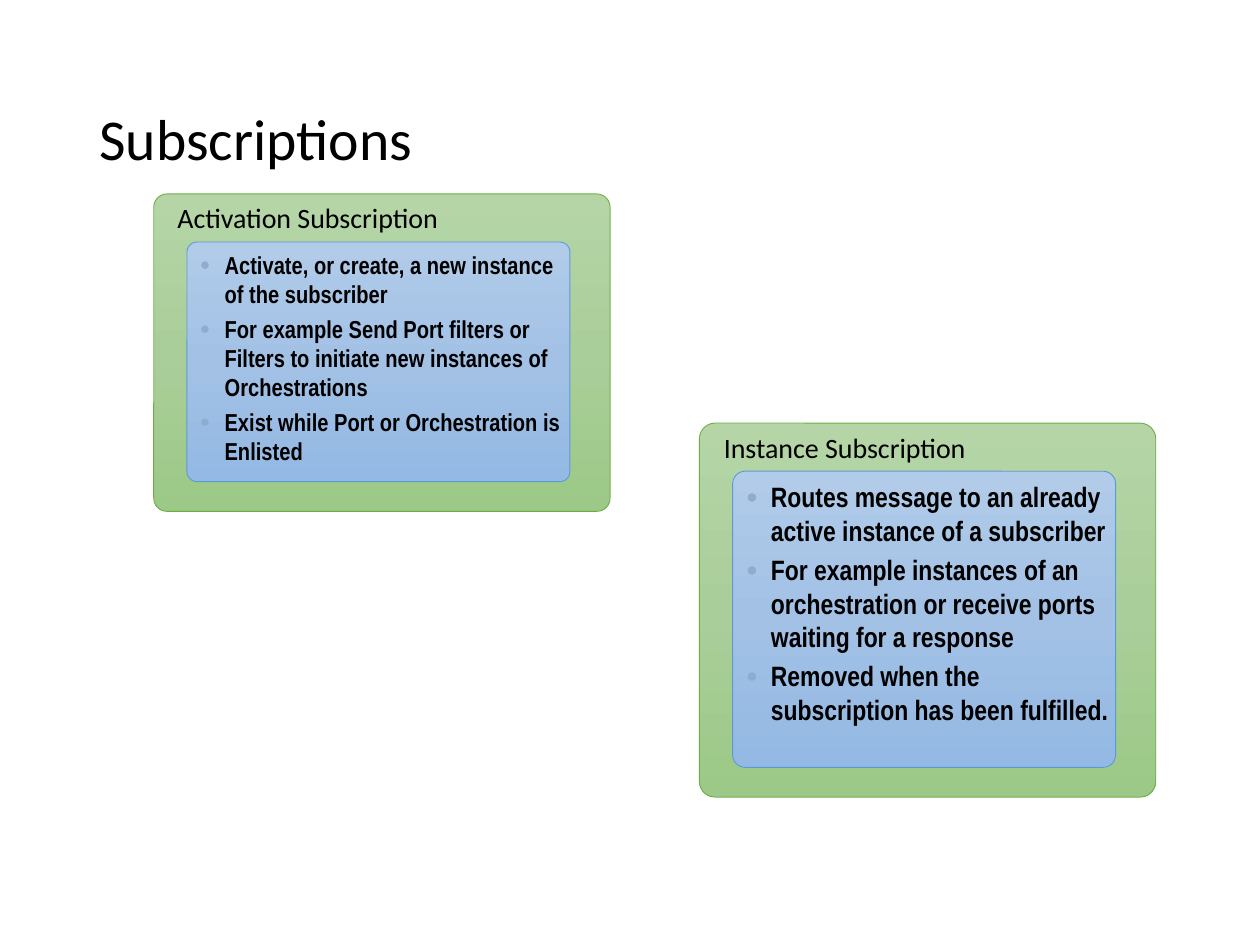
import copy
import pptx
import pptx.util
import pptx.dml.color
import pptx.enum.shapes
import pptx.enum.text
import pptx.oxml.ns
import lxml.etree

Cm, Pt = pptx.util.Cm, pptx.util.Pt

TITLE = "Subscriptions"
CARDS = [
    {"head": "Activation Subscription", "left": 3.1, "top": 3.91,
     "high": 6.4, "size": 14,
     "items": ["Activate, or create, a new instance of the subscriber",
               "For example Send Port filters or Filters to initiate "
               "new instances of Orchestrations",
               "Exist while Port or Orchestration is Enlisted"]},
    {"head": "Instance Subscription", "left": 14.1, "top": 8.53,
     "high": 7.54, "size": 16,
     "items": ["Routes message to an already active instance of a subscriber",
               "For example instances of an orchestration or receive ports "
               "waiting for a response",
               "Removed when the subscription has been fulfilled."]},
]
COLORS = {"text": "000000", "green": "70AD47", "blue": "5B9BD5",
          "bullet": "8DACD0"}
FADES = {"green": ("B5D5A7", "AACE9A", "9CC987"),
         "blue": ("B1CBE9", "A3C1E5", "93B9E4")}
CARD_WIDE, LIST_WIDE = 9.2, 7.72
PAD_LEFT, PAD_TOP, PAD_HIGH = 0.67, 0.97, 1.57
ROUND = 0.042


def color(code):
    return pptx.dml.color.RGBColor.from_string(code)


def add_tag(parent, tag, **attrs):
    node = lxml.etree.SubElement(parent, pptx.oxml.ns.qn("a:" + tag))
    for name, value in attrs.items():
        node.set(name, str(value))
    return node


def write(frame, text, size, font="Calibri", bold=False, line=None,
          before=0, indent=0, bullet=False):
    """Fill the empty first paragraph, or add one; before is in percent."""
    para = frame.paragraphs[0]
    if para.runs:
        para = frame.add_paragraph()
    para.alignment = pptx.enum.text.PP_ALIGN.LEFT
    if line:
        para.line_spacing = line
    props = para._p.get_or_add_pPr()
    props.set("marL", str(Cm(indent)))
    props.set("indent", str(-Cm(indent) if bullet else 0))
    if before:
        add_tag(add_tag(props, "spcBef"), "spcPct", val=before * 1000)
    if bullet:
        add_tag(add_tag(props, "buClr"), "srgbClr", val=COLORS["bullet"])
        add_tag(props, "buSzPct", val=70000)
        add_tag(props, "buFont", typeface="Arial")
        add_tag(props, "buChar", char="●")
    run = para.add_run()
    run.text = text
    run.font.name, run.font.size, run.font.bold = font, Pt(size), bold
    run.font.color.rgb = color(COLORS["text"])


def add_panel(slide, left, top, wide, high, hue):
    """Add a rounded panel with a vertical fade and return its text frame."""
    panel = slide.shapes.add_shape(
        pptx.enum.shapes.MSO_SHAPE.ROUNDED_RECTANGLE,
        Cm(left), Cm(top), Cm(wide), Cm(high))
    panel.adjustments[0] = ROUND
    panel.shadow.inherit = False
    panel.line.color.rgb = color(COLORS[hue])
    panel.line.width = Pt(0.5)
    panel.fill.gradient()
    panel.fill.gradient_angle = 270
    stops = panel._element.spPr.find(".//" + pptx.oxml.ns.qn("a:gsLst"))
    stops.insert(1, copy.deepcopy(stops[0]))
    for index, stop in enumerate(panel.fill.gradient_stops):
        stop.position = index / 2
        stop.color.rgb = color(FADES[hue][index])
    frame = panel.text_frame
    frame.word_wrap = True
    frame.vertical_anchor = pptx.enum.text.MSO_ANCHOR.TOP
    return frame


def add_card(slide, card):
    left, top, high = card["left"], card["top"], card["high"]
    frame = add_panel(slide, left, top, CARD_WIDE, high, "green")
    write(frame, card["head"], 16, line=0.9, before=40, indent=0.15)
    frame = add_panel(slide, left + PAD_LEFT, top + PAD_TOP,
                      LIST_WIDE, high - PAD_HIGH, "blue")
    frame.margin_left, frame.margin_right = Cm(0.2), 0
    frame.margin_top = frame.margin_bottom = Cm(0.1)
    for item in card["items"]:
        write(frame, item, card["size"], font="Arial Narrow", bold=True,
              before=20, indent=0.5, bullet=True)


def main():
    deck = pptx.Presentation()
    deck.slide_width, deck.slide_height = Cm(25.4), Cm(19.05)
    slide = deck.slides.add_slide(deck.slide_layouts[5])
    title = slide.shapes.title
    title.left, title.top = Cm(1.75), Cm(1.02)
    title.width, title.height = Cm(21.9), Cm(3.68)
    title.text_frame.vertical_anchor = pptx.enum.text.MSO_ANCHOR.MIDDLE
    write(title.text_frame, TITLE, 33, line=0.9)
    for card in CARDS:
        add_card(slide, card)
    deck.save("out.pptx")


if __name__ == "__main__":
    main()
